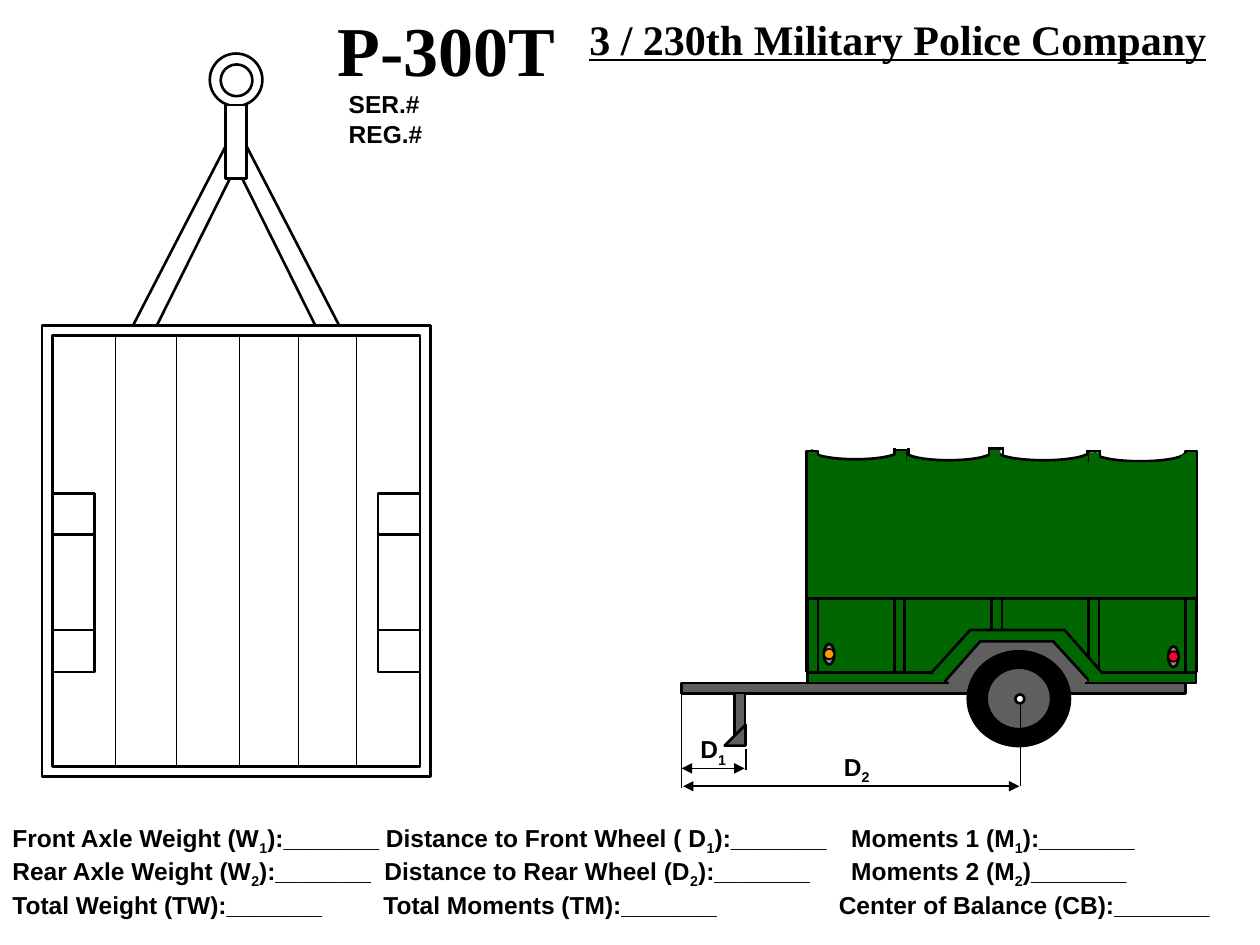
import pptx
import pptx.dml.color
import pptx.enum.shapes
import pptx.enum.text
import pptx.oxml.ns
import pptx.util
from lxml import etree

Cm = pptx.util.Cm
Pt = pptx.util.Pt
MSO = pptx.enum.shapes.MSO_SHAPE
qn = pptx.oxml.ns.qn
rgb = pptx.dml.color.RGBColor.from_string

BLACK, WHITE, GREEN, GRAY, LENS = "000000", "FFFFFF", "006600", "5F5F5F", "919191"
RECT, OVAL = MSO.RECTANGLE, MSO.OVAL


def add_shape(shapes, kind, box, fill=None, width=1.5, rot=0):
    if kind == "outline":
        pts = [(Cm(x), Cm(y)) for x, y in box]
        fb = shapes.build_freeform(*pts[0])
        fb.add_line_segments(pts[1:], close=True)
        sp = fb.convert_to_shape()
    else:
        sp = shapes.add_shape(kind, *[Cm(v) for v in box])
    sp.shadow.inherit = False
    sp.rotation = rot
    if fill:
        sp.fill.solid()
        sp.fill.fore_color.rgb = rgb(fill)
    else:
        sp.fill.background()
    if width:
        sp.line.color.rgb = rgb(BLACK)
        sp.line.width = Pt(width)
    else:
        sp.line.fill.background()


def add_line(shapes, x1, y1, x2, y2, width=1.5, arrows=False):
    c = shapes.add_connector(pptx.enum.shapes.MSO_CONNECTOR.STRAIGHT, Cm(x1), Cm(y1), Cm(x2), Cm(y2))
    c.line.color.rgb = rgb(BLACK)
    c.line.width = Pt(width)
    spPr = c._element.spPr
    if arrows:
        for end in ("a:headEnd", "a:tailEnd"):
            etree.SubElement(spPr.find(qn("a:ln")), qn(end), type="triangle")
    etree.SubElement(spPr, qn("a:effectLst"))


prs = pptx.Presentation()
prs.slide_width, prs.slide_height = Cm(25.4), Cm(19.05)
s = prs.slides.add_slide(prs.slide_layouts[5])
shapes = s.shapes

# Text between bars is subscript; each paragraph carries its own tab stops.
form = [
    ("Front Axle Weight (W|1|):_______\tDistance to Front Wheel ( D|1|):_______\tMoments 1 (M|1|):_______", (7.53, 16.91)),
    ("Rear Axle Weight (W|2|):_______\tDistance to Rear Wheel (D|2|):_______\tMoments 2 (M|2|)_______", (7.5, 16.91)),
    ("Total Weight (TW):_______\tTotal Moments (TM):_______\tCenter of Balance (CB):_______", (7.48, 16.66)),
]
texts = [
    ((6.55, 0, 5.61, 1.96), "Times New Roman", 40, [("P-300T", ())]),
    ((11.63, 0.15, 13.2, 1.27), "Times New Roman", 24, [("3 / 230th Military Police Company", ())]),
    ((6.78, 1.68, 2.3, 1.45), "Arial", 14, [("SER.#", ()), ("REG.#", ())]),
    ((0, 16.46, 25.4, 2.5), "Arial", 14, form),
    ((13.87, 14.68, 1.1, 0.94), "Arial", 14, [("D|1", ())]),
    ((16.76, 15.04, 1.1, 0.94), "Arial", 14, [("D|2", ())]),
]
for i, (box, font, size, paragraphs) in enumerate(texts):
    sp = shapes.title if i == 0 else shapes.add_textbox(0, 0, 0, 0)
    sp.left, sp.top, sp.width, sp.height = [Cm(v) for v in box]
    tf = sp.text_frame
    tf.word_wrap = True
    tf.auto_size = pptx.enum.text.MSO_AUTO_SIZE.NONE
    tf.vertical_anchor = pptx.enum.text.MSO_ANCHOR.TOP
    for j, (text, stops) in enumerate(paragraphs):
        p = tf.add_paragraph() if j else tf.paragraphs[0]
        p.alignment = pptx.enum.text.PP_ALIGN.LEFT
        if stops:
            tabs = etree.SubElement(p._p.get_or_add_pPr(), qn("a:tabLst"))
            for stop in stops:
                etree.SubElement(tabs, qn("a:tab"), pos=str(int(Cm(stop))), algn="l")
        for k, part in enumerate(text.split("|")):
            r = p.add_run()
            r.text = part
            r.font.name, r.font.size, r.font.bold = font, Pt(size), True
            r.font.color.rgb = rgb(BLACK)
            if size == 24:
                r.font.underline = True
            if k % 2:
                r._r.get_or_add_rPr().set("baseline", "-25000")

plan = shapes.add_group_shape().shapes
for kind, box, fill in [
    (MSO.ISOSCELES_TRIANGLE, (1.48, 2.54, 6.56, 6.35), None),
    (MSO.ISOSCELES_TRIANGLE, (1.98, 3.35, 5.56, 5.59), None),
    (RECT, (0.85, 6.56, 7.83, 9.1), WHITE),
    (RECT, (1.06, 6.77, 7.41, 8.68), None),
    (OVAL, (4.23, 1.08, 1.06, 1.06), WHITE),
    (OVAL, (4.45, 1.3, 0.64, 0.64), WHITE),
    (RECT, (4.55, 2.12, 0.42, 1.48), WHITE),
]:
    add_shape(plan, kind, box, fill)
for x in (1.06, 7.62):
    add_shape(plan, RECT, (x, 9.95, 0.85, 3.6), WHITE)
    for y in (10.77, 12.7):
        add_line(plan, x, y, x + 0.85, y)
for x in (2.33, 3.56, 4.83, 6.02, 7.19):
    add_line(plan, x, 6.77, x, 15.45, 0.75)

for x1, x2, y in [(21.92, 22.17, 9.07), (18.03, 18.31, 9.04), (19.94, 20.22, 9.02)]:
    for x in (x1, x2):
        add_line(shapes, x, y, x, y + 0.21)
for x, y, h in [(22.45, 8.74, 1.83), (16.71, 8.74, 1.75), (18.59, 8.76, 1.75), (20.5, 8.71, 1.85)]:
    add_shape(shapes, MSO.FLOWCHART_STORED_DATA, (x, y, 1.07, h), GREEN, rot=270)

for box, width in [
    ((16.28, 12.07, 7.83, 1.69), 1.5),
    ((21.95, 9.12, 0.21, 4.45), 0),
    ((16.28, 13.56, 7.83, 0.21), 1.5),
    ((19.96, 9.07, 0.21, 3.81), 0),
    ((18.06, 9.09, 0.21, 4.45), 0),
    ((16.26, 9.09, 0.23, 4.45), 1.5),
    ((23.9, 9.09, 0.23, 4.45), 1.5),
    ((16.36, 9.32, 7.62, 2.74), 0),
]:
    add_shape(shapes, RECT, box, GREEN, width)
for x in (16.28, 18.03, 19.99, 21.95, 23.9):
    add_shape(shapes, RECT, (x, 12.07, 0.21, 1.48), GREEN)

fender = shapes.add_group_shape().shapes
add_shape(fender, "outline", [(18.59, 13.77), (19.56, 12.7), (21.46, 12.7), (22.4, 13.77)], GREEN)
add_shape(fender, "outline", [(19.02, 13.77), (19.76, 12.93), (21.23, 12.93), (22, 13.77)], GRAY)
add_shape(fender, RECT, (19.15, 13.72, 2.74, 0.21), GRAY, 0)
for x in (21.95, 18.39):
    add_shape(shapes, RECT, (x, 13.59, 0.64, 0.21), GREEN, 0)
add_shape(shapes, RECT, (13.74, 13.77, 10.16, 0.21), GRAY)
add_shape(shapes, RECT, (19.13, 13.69, 2.74, 0.21), GRAY, 0)

wheel = shapes.add_group_shape().shapes
add_shape(wheel, OVAL, (19.51, 13.13, 2.06, 1.91), BLACK)
add_shape(wheel, OVAL, (19.89, 13.46, 1.3, 1.24), GRAY)
add_shape(wheel, OVAL, (20.47, 14, 0.18, 0.18), WHITE)

for x1, x2, y in [(21.95, 22.15, 9.09), (18.06, 18.29, 9.07), (19.96, 20.19, 9.04), (16.31, 24.13, 12.07)]:
    add_line(shapes, x1, y, x2, y)
for x, y, rot in [(16.36, 9.19, 27.6), (23.83, 9.14, 57.9)]:
    add_shape(shapes, RECT, (x, y, 0.21, 0.21), GREEN, 0, rot)

add_shape(shapes, RECT, (14.81, 13.97, 0.21, 1.06), GRAY)
add_shape(shapes, MSO.RIGHT_TRIANGLE, (14.61, 14.61, 0.42, 0.42), GRAY, rot=270)
for x, y1, y2 in [(15.04, 15.09, 15.52), (20.57, 14.15, 15.85), (13.74, 13.97, 15.88)]:
    add_line(shapes, x, y1, x, y2, 1)
add_line(shapes, 13.74, 15.49, 15.01, 15.49, 1, True)
add_line(shapes, 13.77, 15.85, 20.55, 15.85, 1, True)

for x, y, lamp in [(23.55, 13.03, "FC0128"), (16.61, 12.98, "FF9900")]:
    light = shapes.add_group_shape().shapes
    add_shape(light, OVAL, (x, y, 0.21, 0.42), LENS)
    add_shape(light, OVAL, (x, y + 0.1, 0.21, 0.21), lamp, 1)

prs.save("out.pptx")
